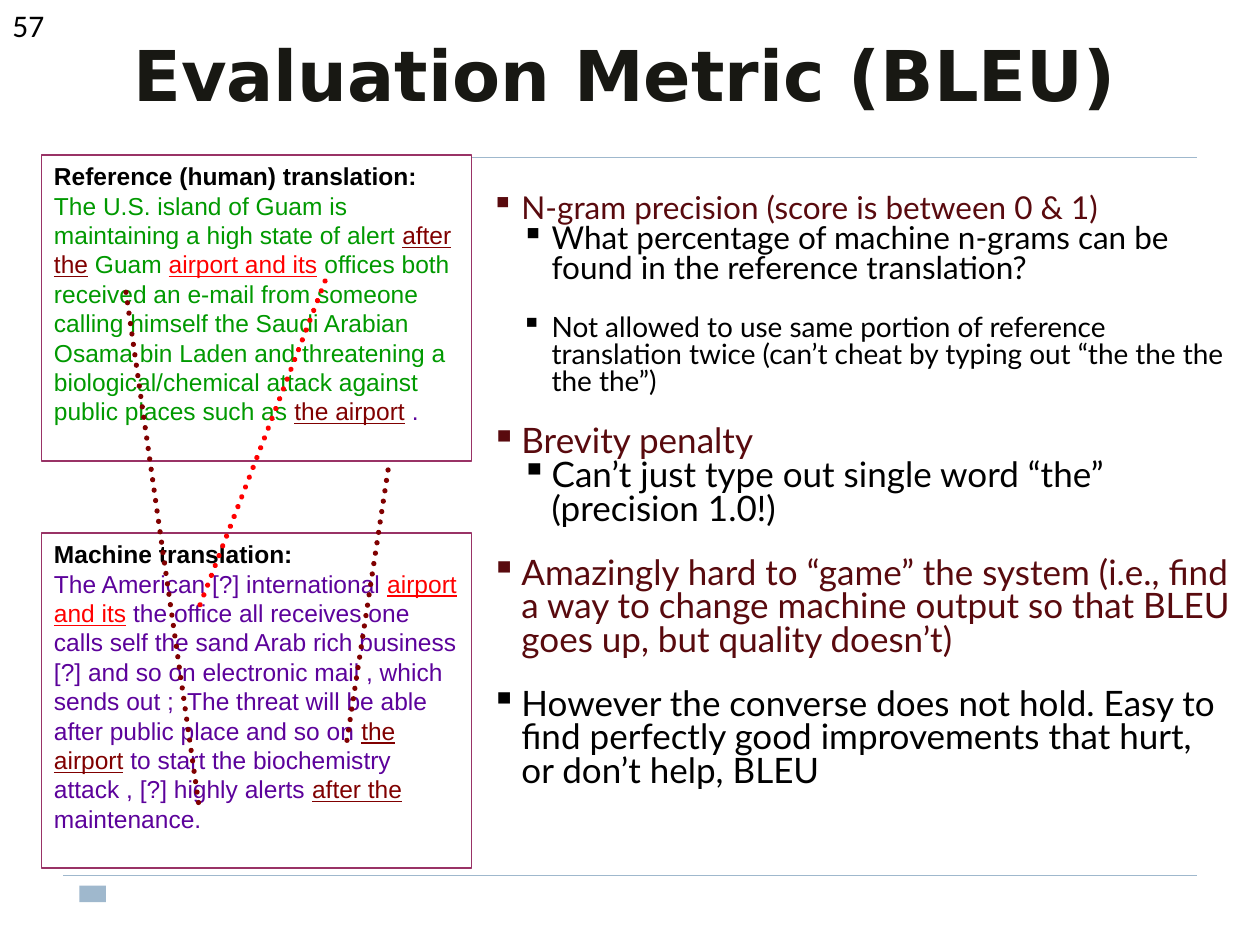
from pptx import Presentation, util as u
from pptx.dml.color import RGBColor
from pptx.enum import dml, shapes, text
from pptx.oxml import parse_xml
from pptx.oxml.ns import nsdecls

# Content
BLACK, WINE, GREEN = "000000", "590A0E", "009900"
PURPLE, MAROON, RED = "5C029B", "800000", "FF0000"
PALE_BLUE, PLUM = "9FB8CD", "993366"

TITLE = "Evaluation Metric (BLEU)"
PAGE_NUMBER = "57"

# Bullets: level, size, colour, space before in points, wording
BULLETS = [
    (0, 18, WINE, 0, "N-gram precision (score is between 0 & 1)"),
    (1, 18, BLACK, 0, "What percentage of machine n-grams can be found in the "
     "reference translation?"),
    (1, 16, BLACK, 17.3, "Not allowed to use same portion of reference translation "
     "twice (can’t cheat by typing out “the the the the the”)"),
    (0, 20, WINE, 17.3, "Brevity penalty"),
    (1, 20, BLACK, 0, "Can’t just type out single word “the” (precision 1.0!)"),
    (0, 20, WINE, 17.3, "Amazingly hard to “game” the system (i.e., find a way to "
     "change machine output so that BLEU goes up, but quality doesn’t)"),
    (0, 20, BLACK, 17.3, "However the converse does not hold. Easy to find "
     "perfectly good improvements that hurt, or don’t help, BLEU"),
]

# Translations: top, height, heading, coloured spans (matches are underlined)
TRANSLATIONS = [
    (1.23, 2.43, "Reference (human) translation:", [
        ("The U.S. island of Guam is maintaining a high state of alert ", GREEN),
        ("after the", MAROON),
        (" Guam ", GREEN),
        ("airport and its", RED),
        (" offices both received an e-mail from someone calling himself the Saudi "
         "Arabian Osama bin Laden and threatening a biological/chemical attack "
         "against public places such as ", GREEN),
        ("the airport", MAROON),
        (" .", PURPLE)]),
    (4.23, 2.66, "Machine translation:", [
        ("The American [?] international ", PURPLE),
        ("airport and its", RED),
        (" the office all receives one calls self the sand Arab rich business [?] "
         "and so on electronic mail , which sends out ;  The threat will be able "
         "after public place and so on ", PURPLE),
        ("the airport", MAROON),
        (" to start the biochemistry attack , [?] highly alerts ", PURPLE),
        ("after the", MAROON),
        (" maintenance.", PURPLE)]),
]
MATCHES = {MAROON, RED}

RULES = [(0.5, y, 9.5, y) for y in (1.25, 6.95)]
MATCH_LINES = [
    ((2.58, 2.23, 1.58, 4.82), RED),
    ((1, 2.32, 1.58, 6.4), MAROON),
    ((3.08, 3.73, 2.75, 5.9), MAROON),
]
INDENT = 0.24

deck = Presentation()
deck.slide_width, deck.slide_height = u.Inches(10), u.Inches(7.5)
page = deck.slides.add_slide(deck.slide_layouts[6])


def color(value):
    return RGBColor.from_string(value)


def add_span(para, wording, ink, **formats):
    span = para.add_run()
    span.text = wording
    span.font.color.rgb = color(ink)
    for name, value in formats.items():
        setattr(span.font, name, value)


def add_text_box(*place):
    box = page.shapes.add_textbox(*map(u.Inches, place))
    box.text_frame.word_wrap = True
    return box.text_frame


def add_rectangle(place, fill, line=None):
    box = page.shapes.add_shape(shapes.MSO_SHAPE.RECTANGLE, *map(u.Inches, place))
    box.shadow.inherit = False
    box.fill.solid()
    box.fill.fore_color.rgb = color(fill)
    if line:
        box.line.color.rgb = color(line)
        box.line.width = u.Pt(0.75)
    else:
        box.line.fill.background()
    return box.text_frame


def add_line(ends, ink, width, dotted=False):
    line = page.shapes.add_connector(shapes.MSO_CONNECTOR.STRAIGHT, *map(u.Inches, ends))
    line.line.color.rgb = color(ink)
    line.line.width = u.Pt(width)
    if dotted:
        line.line.dash_style = dml.MSO_LINE.ROUND_DOT
        line.line._get_or_add_ln().set("cap", "rnd")
    line._element.spPr.append(parse_xml(f"<a:effectLst {nsdecls('a')}/>"))


def add_bullet(para, level):
    properties = para._p.get_or_add_pPr()
    properties.set("marL", str(u.Inches(INDENT * (level + 1))))
    properties.set("indent", str(-u.Inches(INDENT)))
    properties.append(parse_xml(f'<a:buChar {nsdecls("a")} char="▪"/>'))


# Page rules and footer mark
for ends in RULES:
    add_line(ends, PALE_BLUE, 0.75)
add_rectangle((0.63, 7.03, 0.21, 0.13), PALE_BLUE)

# Title
frame = add_text_box(0.08, 0, 9.75, 1.17)
frame.vertical_anchor = text.MSO_ANCHOR.MIDDLE
frame.paragraphs[0].alignment = text.PP_ALIGN.CENTER
add_span(frame.paragraphs[0], TITLE, "181813", name="DejaVu Sans", size=u.Pt(40), bold=True)

# Bullet list
frame = add_text_box(3.8, 1.5, 6.08, 5.9)
for index, (level, size, ink, gap, wording) in enumerate(BULLETS):
    para = frame.add_paragraph() if index else frame.paragraphs[0]
    layout = {"level": level, "line_spacing": 0.8, "space_before": u.Pt(gap)}
    for name, value in layout.items():
        setattr(para, name, value)
    add_bullet(para, level)
    add_span(para, wording, ink, name="Lato", size=u.Pt(size))

# Translation boxes
for top, height, heading, spans in TRANSLATIONS:
    frame = add_rectangle((0.33, top, 3.41, height), "FFFFFF", PLUM)
    frame.word_wrap = True
    frame.vertical_anchor = text.MSO_ANCHOR.TOP
    body_font = {"name": "Arial", "size": u.Pt(14)}
    add_span(frame.paragraphs[0], heading, BLACK, bold=True, **body_font)
    body = frame.add_paragraph()
    for wording, ink in spans:
        add_span(body, wording, ink, underline=ink in MATCHES, **body_font)
    for para in frame.paragraphs:
        para.alignment = text.PP_ALIGN.LEFT

# Dotted lines between matching phrases
for ends, ink in MATCH_LINES:
    add_line(ends, ink, 3, dotted=True)

# Page number
frame = add_text_box(0, 0, 0.6, 0.4)
add_span(frame.paragraphs[0], PAGE_NUMBER, BLACK, name="Calibri", size=u.Pt(18))

deck.save("out.pptx")
